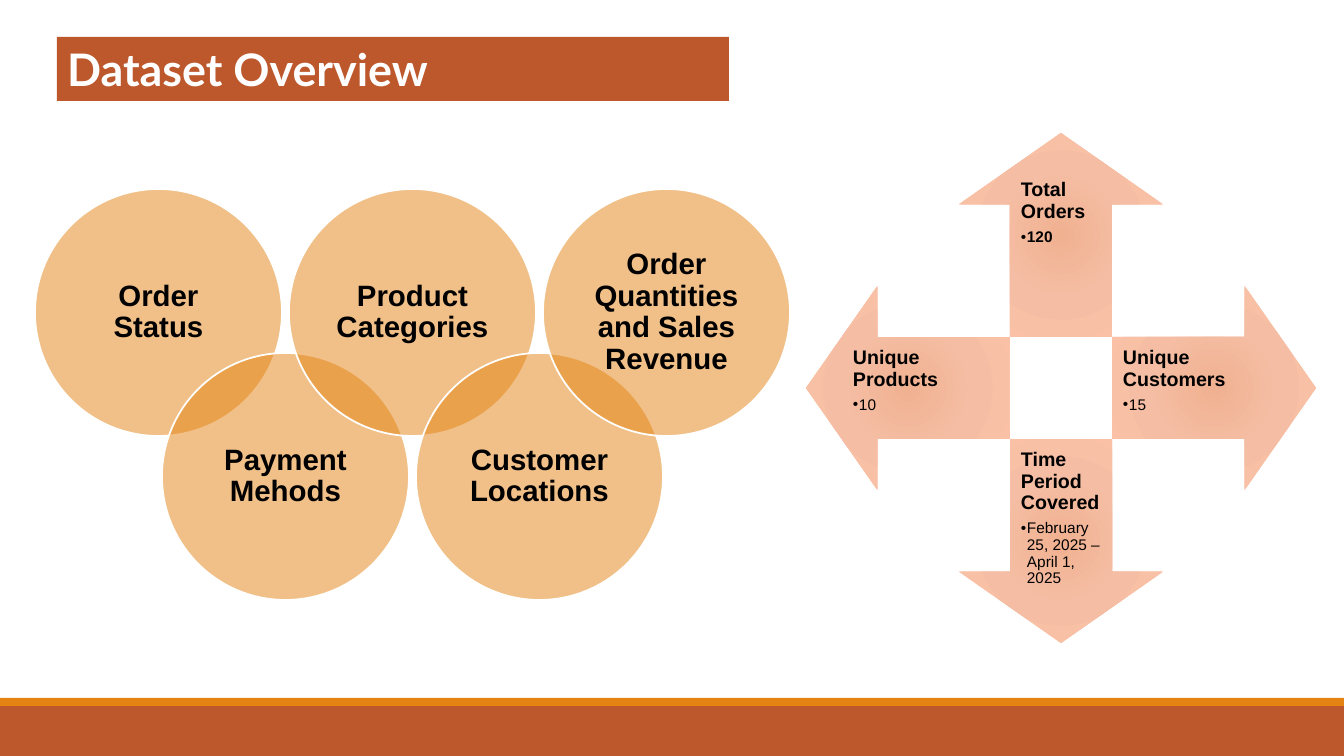
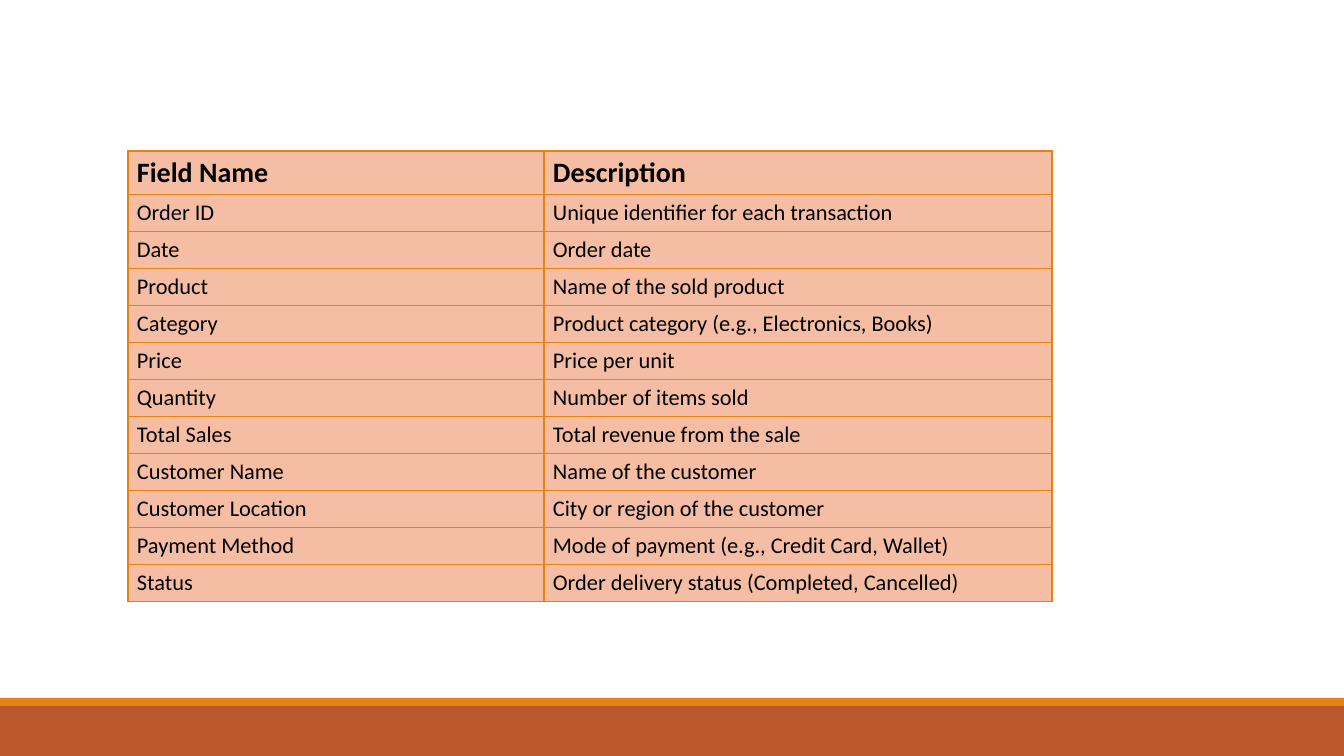
from lxml.etree import SubElement as Sub
from pptx import Presentation
from pptx.dml.color import RGBColor
from pptx.enum.shapes import MSO_SHAPE as Kind
from pptx.enum.text import MSO_ANCHOR as Anchor, MSO_AUTO_SIZE as Auto, PP_ALIGN as Align
from pptx.oxml import parse_xml
from pptx.oxml.ns import nsdecls, qn
from pptx.util import Emu, Pt

SCALE = 914400 / 100.8


def px(n):
    return Emu(round(n * SCALE))


def rgb(code):
    return RGBColor.from_string(code)


class Deck:
    WIDE, HIGH = 1344, 756
    RUST, GOLD, PEACH = "BD582C", "E48312", "F5BEA4"
    INK, WHITE = "000000", "FFFFFF"
    GLOW = ((0, "F0B191"), (45, "F5BEA4"), (100, "FDC3A8"))

    def __init__(self):
        self.prs = Presentation()
        self.prs.slide_width = px(self.WIDE)
        self.prs.slide_height = px(self.HIGH)

    def page(self, layout):
        self.slide = self.prs.slides.add_slide(self.prs.slide_layouts[layout])

    def style(self, par, size, bold=True, face="Arial", color=INK):
        for run in par.runs:
            font = run.font
            font.name, font.size, font.bold = face, Pt(size), bold
            font.color.rgb = rgb(color)

    def shape(self, kind, x, y, w, h, fill=None):
        form = self.slide.shapes.add_shape(kind, *map(px, (x, y, w, h)))
        form.shadow.inherit = False
        form.line.fill.background()
        if fill:
            form.fill.solid()
            form.fill.fore_color.rgb = rgb(fill)
        return form

    def bands(self):
        tree = self.prs.slide_master.shapes.element
        for num, (y, h, fill) in enumerate(((706, 50, self.RUST), (698, 8, self.GOLD))):
            band = self.shape(Kind.RECTANGLE, 0, y, self.WIDE, h, fill).element
            band.nvSpPr.cNvPr.set("id", str(50 + num))
            tree.append(band)

    def title(self, text, x, y, w, h):
        head = self.slide.shapes.title
        head.left, head.top, head.width, head.height = map(px, (x, y, w, h))
        head.fill.solid()
        head.fill.fore_color.rgb = rgb(self.RUST)
        frame = head.text_frame
        frame.text = text
        frame.auto_size = Auto.NONE
        frame.vertical_anchor = Anchor.MIDDLE
        par = frame.paragraphs[0]
        par.alignment = Align.LEFT
        self.style(par, 32, face="Lato", color=self.WHITE)

    def pad(self, frame, gap):
        frame.word_wrap = True
        frame.margin_left = frame.margin_right = px(gap)
        frame.margin_top = frame.margin_bottom = px(gap)

    def disc(self, text, x, y, size):
        disc = self.shape(Kind.OVAL, x, y, size, size, self.GOLD)
        tint = disc.element.spPr.find(qn("a:solidFill"))[0]
        Sub(tint, qn("a:alpha"), val="50000")
        disc.line.color.rgb = rgb(self.WHITE)
        disc.line.width = Pt(1.25)
        frame = disc.text_frame
        self.pad(frame, 9)
        frame.vertical_anchor = Anchor.MIDDLE
        frame.text = text
        par = frame.paragraphs[0]
        par.alignment = Align.CENTER
        par.line_spacing = 0.9
        self.style(par, 21)

    def arrow(self, x, y, size, turn):
        arrow = self.shape(Kind.UP_ARROW, x, y, size, size)
        arrow.rotation = turn
        arrow.adjustments[0], arrow.adjustments[1] = 0.5, 0.35
        stops = "".join(
            f'<a:gs pos="{pos * 1000}"><a:srgbClr val="{code}"/></a:gs>'
            for pos, code in self.GLOW)
        glow = parse_xml(
            f'<a:gradFill {nsdecls("a")} rotWithShape="1"><a:gsLst>{stops}</a:gsLst>'
            '<a:path path="circle"><a:fillToRect l="100000" t="100000" '
            'r="100000" b="100000"/></a:path></a:gradFill>')
        arrow.element.spPr.find(qn("a:prstGeom")).addnext(glow)

    def fact(self, name, value, bold, x, y, w, h):
        box = self.slide.shapes.add_textbox(*map(px, (x, y, w, h)))
        frame = box.text_frame
        self.pad(frame, 11)
        frame.text = name
        head = frame.paragraphs[0]
        head.space_after = Pt(5)
        item = frame.add_paragraph()
        item.text = value
        item.level = 1
        props = item._p.get_or_add_pPr()
        props.set("marL", str(px(6)))
        props.set("indent", str(px(-6)))
        Sub(props, qn("a:buFont"), typeface="Arial")
        Sub(props, qn("a:buChar"), char="•")
        head.line_spacing = item.line_spacing = 0.9
        self.style(head, 14)
        self.style(item, 11, bold)

    def edge(self, cell):
        props = cell._tc.get_or_add_tcPr()
        for spot, side in enumerate("LRTB"):
            props.insert(spot, parse_xml(
                f'<a:ln{side} {nsdecls("a")} w="12700"><a:solidFill>'
                f'<a:srgbClr val="{self.GOLD}"/></a:solidFill></a:ln{side}>'))

    def table(self, rows, x, y, wide, high):
        grid = self.slide.shapes.add_table(
            len(rows), len(wide), px(x), px(y), px(sum(wide)), px(sum(high))).table
        grid.horz_banding = False
        for col, w in zip(grid.columns, wide):
            col.width = px(w)
        for num, (row, texts) in enumerate(zip(grid.rows, rows)):
            row.height = px(high[num])
            for cell, text in zip(row.cells, texts):
                cell.fill.solid()
                cell.fill.fore_color.rgb = rgb(self.PEACH)
                cell.vertical_anchor = Anchor.MIDDLE
                cell.margin_left = cell.margin_right = px(9)
                cell.margin_top = cell.margin_bottom = px(5)
                cell.text_frame.text = text
                par = cell.text_frame.paragraphs[0]
                self.style(par, 16 if num else 20, num == 0, "Calibri")
                self.edge(cell)


TOPICS = ("Order Status", "Payment Mehods", "Product Categories",
          "Customer Locations", "Order Quantities and Sales Revenue")

FACTS = (
    ("Total Orders", "120", True, 0, -1),
    ("Unique Customers", "15", False, 1, 0),
    ("Time Period Covered", "February 25, 2025 – April 1, 2025", False, 0, 1),
    ("Unique Products", "10", False, -1, 0),
)

FIELDS = (
    ("Field Name", "Description"),
    ("Order ID", "Unique identifier for each transaction"),
    ("Date", "Order date"),
    ("Product", "Name of the sold product"),
    ("Category", "Product category (e.g., Electronics, Books)"),
    ("Price", "Price per unit"),
    ("Quantity", "Number of items sold"),
    ("Total Sales", "Total revenue from the sale"),
    ("Customer Name", "Name of the customer"),
    ("Customer Location", "City or region of the customer"),
    ("Payment Method", "Mode of payment (e.g., Credit Card, Wallet)"),
    ("Status", "Order delivery status (Completed, Cancelled)"),
)


def overview(deck):
    deck.page(5)
    deck.bands()
    deck.title("Dataset Overview", 57, 37, 672, 64)
    for num, topic in enumerate(TOPICS):
        deck.disc(topic, 35 + 127 * num, 353 if num % 2 else 189, 247)
    mid, axis, size, reach = 1061, 388, 204, 153
    shaft, span, shift = 102, 168, 135
    for num, (name, value, bold, dx, dy) in enumerate(FACTS):
        deck.arrow(mid + dx * reach - size // 2, axis + dy * reach - size // 2,
                   size, 90 * num)
        w, h = (span, shaft) if dx else (shaft, span)
        deck.fact(name, value, bold, mid + dx * shift - w // 2,
                  axis + dy * shift - h // 2, w, h)


def fields(deck):
    deck.page(6)
    deck.table(FIELDS, 128, 151, (416, 508), [43] + [37] * (len(FIELDS) - 1))


def main():
    deck = Deck()
    overview(deck)
    fields(deck)
    deck.prs.save("out.pptx")


if __name__ == "__main__":
    main()
